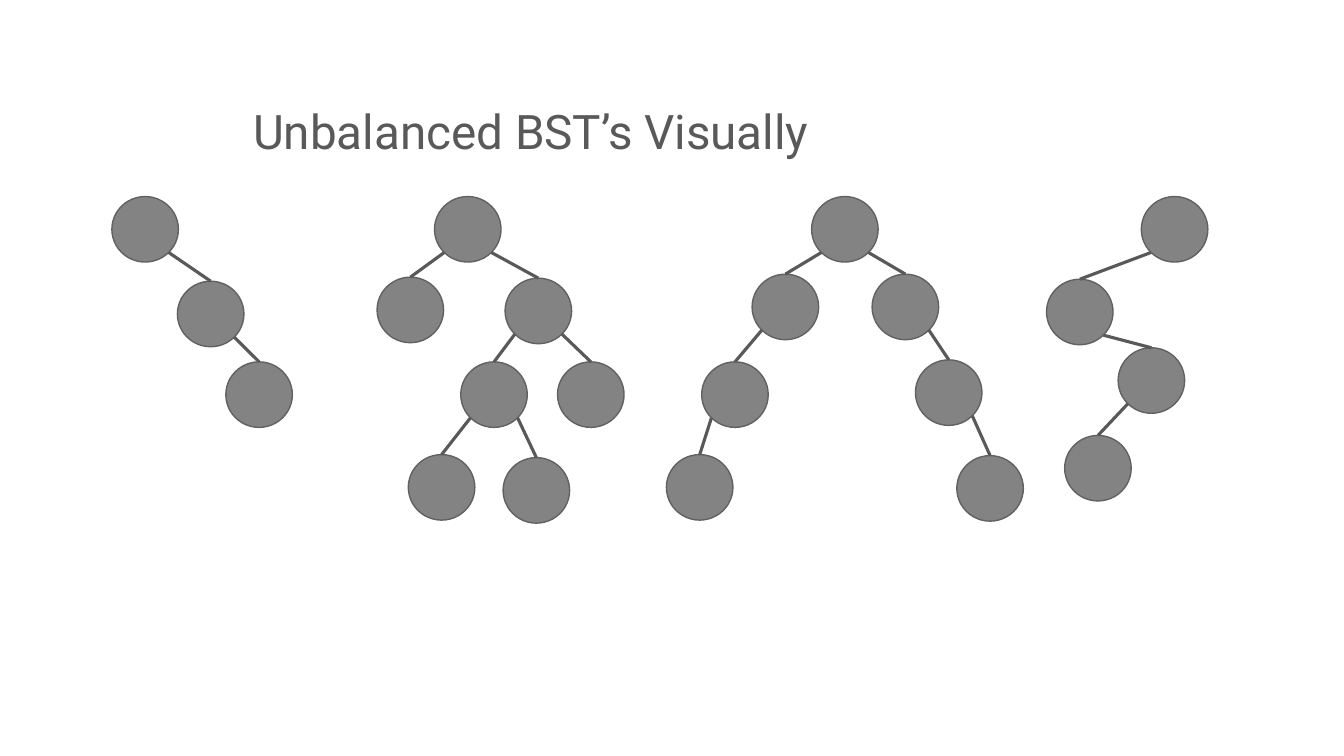
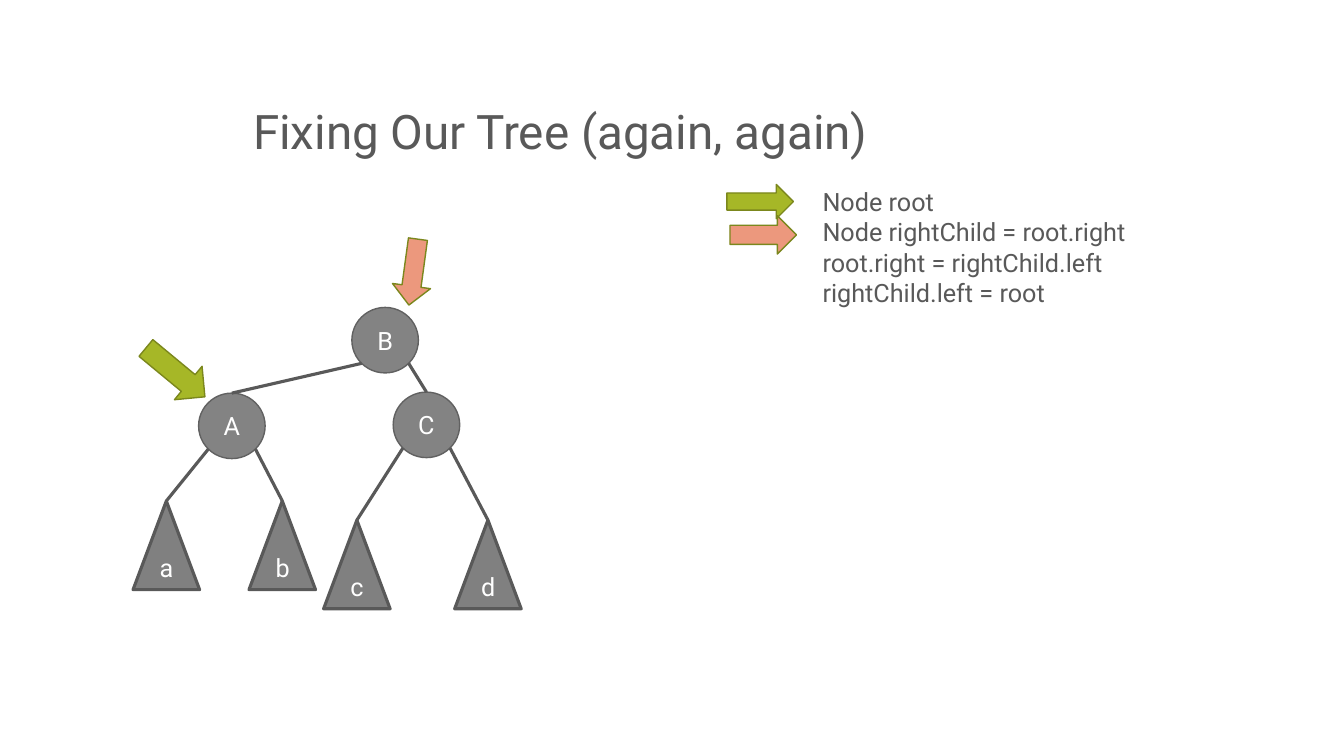
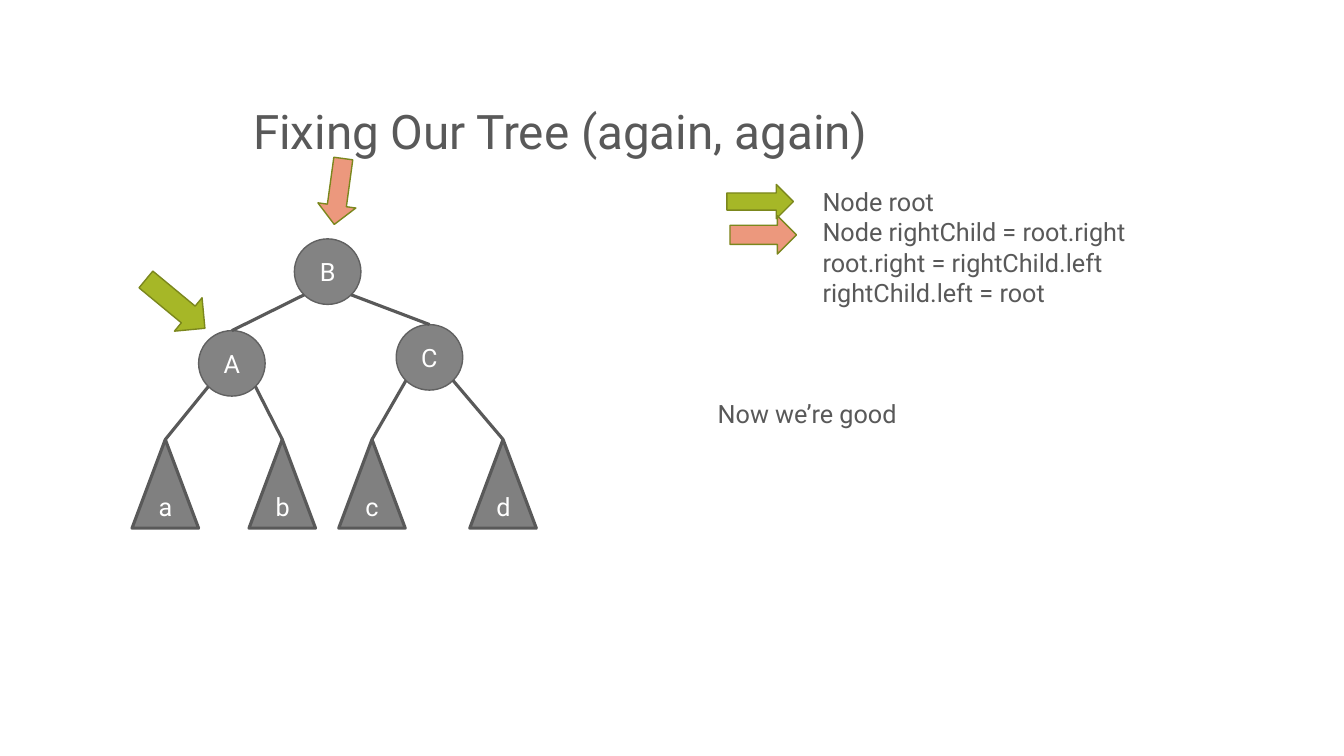
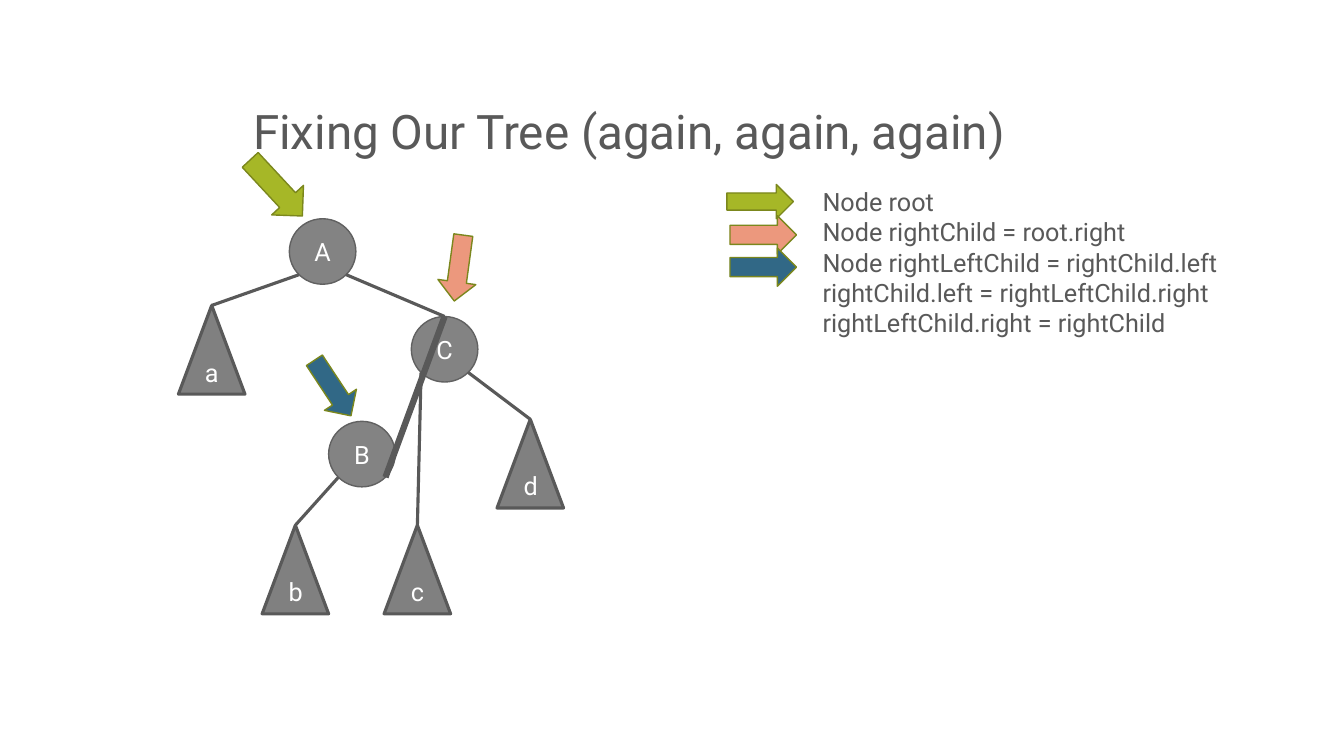
from dataclasses import dataclass
from math import sqrt

from lxml import etree
from pptx import Presentation
from pptx import util as u
from pptx.dml.color import RGBColor
from pptx.enum import shapes, text
from pptx.oxml.ns import qn


@dataclass(frozen=True)
class Theme:
    font: str = "Roboto"
    head: int = 34
    body: int = 18
    ink: str = "595959"
    pale: str = "FFFFFF"
    node: str = "838383"
    rim: str = "616161"
    leaf: str = "808080"
    edge: str = "7B871D"
    green: str = "A6B727"
    coral: str = "EC987D"
    blue: str = "316886"
    thin: float = 1
    line: float = 2.25
    bold: float = 4.5


def put(item, values):
    for name, value in values.items():
        setattr(item, name, value)


class Deck:
    WIDE, NODE, LEAF = 0.66, 0.65, 0.88
    SHAPE = shapes.MSO_SHAPE

    def __init__(self, theme):
        self.theme = theme
        self.prs = Presentation()
        put(self.prs, {"slide_width": u.Inches(13.33), "slide_height": u.Inches(7.5)})
        self.slide = None

    def fill_text(self, frame, lines, size, color, **para):
        frame.text = "\n".join(lines)
        for par in frame.paragraphs:
            put(par, para)
            put(par.font, {"name": self.theme.font, "size": u.Pt(size)})
            par.font.color.rgb = RGBColor.from_string(color)

    def start(self, title):
        self.slide = self.prs.slides.add_slide(self.prs.slide_layouts[5])
        box = self.slide.shapes.title
        put(box, dict(zip(("left", "top", "width", "height"),
                          map(u.Inches, (2.41, 0.33, 10.25, 1.31)))))
        put(box.text_frame, {"vertical_anchor": text.MSO_ANCHOR.BOTTOM,
                             "auto_size": text.MSO_AUTO_SIZE.NONE, "word_wrap": True})
        self.fill_text(box.text_frame, [title], self.theme.head, self.theme.ink,
                       alignment=text.PP_ALIGN.LEFT, line_spacing=0.9)

    def shape(self, kind, spot, fill, rim, width, label=""):
        item = self.slide.shapes.add_shape(kind, *map(u.Inches, spot))
        item.shadow.inherit = False
        item.fill.solid()
        item.fill.fore_color.rgb = RGBColor.from_string(fill)
        item.line.color.rgb = RGBColor.from_string(rim)
        item.line.width = u.Pt(width)
        if label:
            item.text_frame.vertical_anchor = text.MSO_ANCHOR.MIDDLE
            self.fill_text(item.text_frame, [label], self.theme.body, self.theme.pale,
                           alignment=text.PP_ALIGN.CENTER)
        return item

    def node(self, spot, label=""):
        return self.shape(self.SHAPE.OVAL, (*spot, self.WIDE, self.NODE),
                          self.theme.node, self.theme.rim, self.theme.thin, label)

    def leaf(self, spot, label):
        return self.shape(self.SHAPE.ISOSCELES_TRIANGLE, (*spot, self.WIDE, self.LEAF),
                          self.theme.leaf, self.theme.ink, self.theme.line, label)

    def arrow(self, spot, fill, turn=0):
        item = self.shape(self.SHAPE.RIGHT_ARROW, spot, fill, self.theme.edge, self.theme.thin)
        item.rotation = turn

    def link(self, spot, side, child, width):
        x = spot[0] + self.WIDE / 2 * (1 + side / sqrt(2))
        y = spot[1] + self.NODE / 2 * (1 + 1 / sqrt(2))
        start = u.Inches(x), u.Inches(y)
        line = self.slide.shapes.add_connector(shapes.MSO_CONNECTOR.STRAIGHT, *start, *start)
        line.end_connect(child, 0)
        line.line.color.rgb = RGBColor.from_string(self.theme.ink)
        line.line.width = u.Pt(width)
        etree.SubElement(line._element.spPr, qn("a:effectLst"))

    def tree(self, spots, kids, named=True, bold=()):
        drawn = {}
        for name, spot in spots.items():
            make = self.node if name.isupper() else self.leaf
            drawn[name] = make(spot, name if named else "")
        for parent, pair in kids.items():
            for side, child in zip((-1, 1), pair):
                if child != "-":
                    width = self.theme.bold if parent + child in bold else self.theme.line
                    self.link(spots[parent], side, drawn[child], width)

    def note(self, spot, lines, wrap=True):
        frame = self.slide.shapes.add_textbox(*map(u.Inches, spot)).text_frame
        put(frame, {"word_wrap": wrap, "auto_size": text.MSO_AUTO_SIZE.SHAPE_TO_FIT_TEXT})
        self.fill_text(frame, lines, self.theme.body, self.theme.ink)

    def code(self, lines, size, marks):
        self.note((8.06, 1.8, *size), lines)
        spots = (7.21, 1.83, 0.66, 0.34), (7.24, 2.14, 0.66, 0.38), (7.24, 2.46, 0.66, 0.38)
        for spot, (fill, place, turn) in zip(spots, marks):
            self.arrow(spot, fill)
            big = (0.76, 0.43) if fill == self.theme.green else (0.66, 0.38)
            self.arrow((*place, *big), fill, turn)


def main():
    theme = Theme()
    deck = Deck(theme)

    deck.start("Unbalanced BST’s Visually")
    deck.tree(
        {"A": (1.11, 1.95), "B": (1.76, 2.79), "C": (2.24, 3.59),
         "D": (4.31, 1.95), "E": (3.74, 2.75), "F": (5.01, 2.76), "G": (4.57, 3.59),
         "H": (5.53, 3.59), "I": (4.05, 4.51), "J": (4.99, 4.54),
         "K": (8.05, 1.95), "L": (7.46, 2.72), "M": (8.65, 2.72), "N": (6.96, 3.59),
         "O": (9.08, 3.57), "P": (6.61, 4.51), "Q": (9.49, 4.52),
         "R": (11.32, 1.95), "S": (10.38, 2.77), "T": (11.09, 3.45), "U": (10.56, 4.32)},
        {"A": "-B", "B": "-C", "D": "EF", "F": "GH", "G": "IJ", "K": "LM", "L": "N-",
         "M": "-O", "N": "P-", "O": "-Q", "R": "S-", "S": "-T", "T": "U-"},
        named=False)

    first = ["Node root", "Node rightChild = root.right"]
    turned = {"B": "AC", "A": "ab", "C": "cd"}
    steps = [
        ({"A": (1.97, 3.9), "B": (3.49, 3.05), "C": (3.9, 3.89), "a": (1.32, 4.97),
          "b": (2.47, 4.97), "c": (3.21, 5.16), "d": (4.51, 5.16)}, (1.36, 3.48), (3.77, 2.51)),
        ({"A": (1.97, 3.28), "B": (2.92, 2.37), "C": (3.93, 3.22), "a": (1.31, 4.36),
          "b": (2.47, 4.36), "c": (3.36, 4.36), "d": (4.66, 4.36)}, (1.36, 2.8), (3.03, 1.71)),
    ]
    for spots, root, right in steps:
        deck.start("Fixing Our Tree (again, again)")
        deck.tree(spots, turned)
        deck.code(first + ["root.right = rightChild.left", "rightChild.left = root"],
                  (4.06, 1.31), [(theme.green, root, 39.6), (theme.coral, right, 97.8)])
    deck.note((7.02, 3.9, 2.08, 0.4), ["Now we’re good"], wrap=False)

    deck.start("Fixing Our Tree (again, again, again)")
    deck.tree(
        {"A": (2.87, 2.17), "B": (3.26, 4.18), "C": (4.08, 3.14), "a": (1.77, 3.03),
         "b": (2.6, 5.21), "c": (3.81, 5.21), "d": (4.93, 4.16)},
        {"A": "aC", "B": "bC", "C": "cd"}, bold=("BC",))
    deck.code(first + ["Node rightLeftChild = rightChild.left",
                       "rightChild.left = rightLeftChild.right",
                       "rightLeftChild.right = rightChild"],
              (4.74, 1.62), [(theme.green, (2.36, 1.65), 47.1),
                             (theme.coral, (4.22, 2.47), 97.8),
                             (theme.blue, (2.97, 3.66), 56.6)])
    deck.prs.save("out.pptx")


if __name__ == "__main__":
    main()
